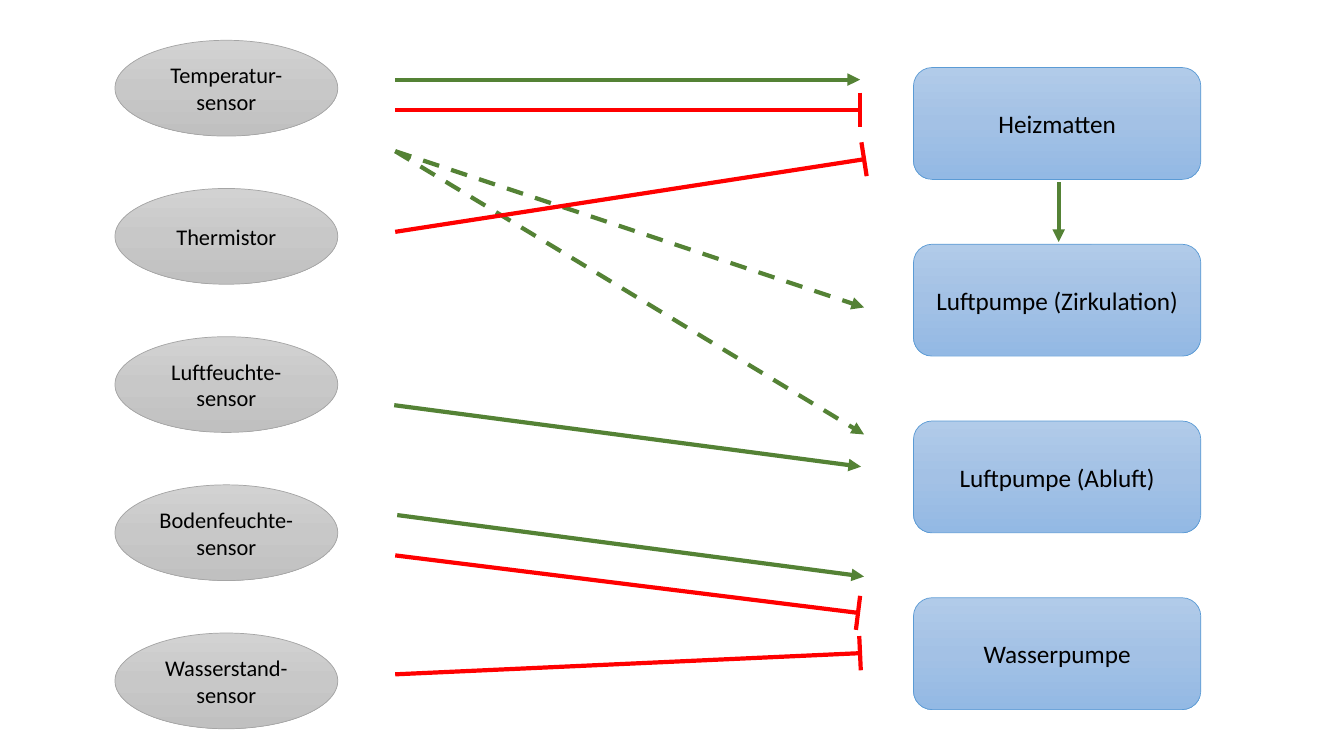
"""Build a slide that links sensors to the devices they switch on or off."""
from copy import deepcopy
from math import hypot
from pptx import Presentation
from pptx.dml.color import RGBColor
from pptx.enum.dml import MSO_LINE as Dash
from pptx.enum.shapes import MSO_CONNECTOR as Conn, MSO_SHAPE as Kind
from pptx.enum.text import MSO_ANCHOR as Anchor, PP_ALIGN as Align
from pptx.oxml.ns import qn
from pptx.oxml.xmlchemy import OxmlElement as Tag
from pptx.util import Inches, Pt


def rgb(code):
    return RGBColor.from_string(code)


def draw(host, ends, color):
    link = host.add_connector(Conn.STRAIGHT, *[Inches(n) for n in ends])
    link.line.color.rgb = rgb(color)
    link.line.width = Pt(3)
    link._element.spPr.append(Tag("a:effectLst"))
    return link


GREEN, RED = "548235", "FF0000"
deck = Presentation()
deck.slide_width, deck.slide_height = Inches(13.33), Inches(7.5)
shapes = deck.slides.add_slide(deck.slide_layouts[6]).shapes

sensors = {
    "kind": Kind.OVAL, "left": 1.14, "top": 0.4, "step": 1.47,
    "wide": 2.21, "high": 0.95, "size": 16, "edge": "A5A5A5",
    "fade": ["D2D2D2", "C8C8C8", "C0C0C0"],
    "names": ["Temperatur-sensor", "Thermistor", "Luftfeuchte-sensor",
              "Bodenfeuchte-sensor", "Wasserstand-sensor"],
}
devices = {
    "kind": Kind.ROUNDED_RECTANGLE, "left": 9.06, "top": 0.67, "step": 5.26 / 3,
    "wide": 2.85, "high": 1.11, "size": 18, "edge": "5B9BD5",
    "fade": ["B1CBE9", "A3C1E5", "93B9E4"],
    "names": ["Heizmatten", "Luftpumpe (Zirkulation)",
              "Luftpumpe (Abluft)", "Wasserpumpe"],
}

for group in (sensors, devices):
    style = {"name": "Calibri", "size": Pt(group["size"])}
    for i, name in enumerate(group["names"]):
        node = shapes.add_shape(
            group["kind"], Inches(group["left"]),
            Inches(group["top"] + i * group["step"]),
            Inches(group["wide"]), Inches(group["high"]))
        node.shadow.inherit = False
        node.line.color.rgb = rgb(group["edge"])
        node.line.width = Pt(0.5)
        node.fill.gradient()
        node.fill.gradient_angle = 270
        stops = node._element.spPr.find(".//" + qn("a:gsLst"))
        stops.append(deepcopy(stops[0]))
        for stop, spot, shade in zip(node.fill.gradient_stops, (0, 0.5, 1), group["fade"]):
            stop.position = spot
            stop.color.rgb = rgb(shade)
        frame = node.text_frame
        frame.word_wrap = True
        frame.vertical_anchor = Anchor.MIDDLE
        para = frame.paragraphs[0]
        para.alignment = Align.CENTER
        run = para.add_run()
        run.text = name
        for key, value in style.items():
            setattr(run.font, key, value)
        run.font.color.rgb = rgb("000000")

starts = [
    ((3.92, 0.79, 8.53, 0.79), None),
    ((10.5, 1.81, 10.5, 2.4), None),
    ((3.92, 1.5, 8.57, 3.05), Dash.DASH),
    ((3.92, 1.5, 8.57, 4.31), Dash.DASH),
    ((3.91, 4.02, 8.54, 4.63), None),
    ((3.94, 5.11, 8.57, 5.72), None),
]
for ends, dash in starts:
    arrow = draw(shapes, ends, GREEN)
    arrow.line.dash_style = dash
    tip = Tag("a:tailEnd")
    tip.set("type", "triangle")
    arrow.line._get_or_add_ln().append(tip)

stops = [
    (3.92, 1.09, 8.53, 1.09),
    (3.92, 5.51, 8.51, 6.08),
    (3.92, 6.69, 8.53, 6.48),
    (3.92, 2.3, 8.57, 1.58),
]
half = 0.17
for x1, y1, x2, y2 in stops:
    pair = shapes.add_group_shape().shapes
    draw(pair, (x1, y1, x2, y2), RED)
    span = hypot(x2 - x1, y2 - y1)
    dx, dy = half * (y2 - y1) / span, half * (x2 - x1) / span
    draw(pair, (x2 + dx, y2 - dy, x2 - dx, y2 + dy), RED)

deck.save("out.pptx")
